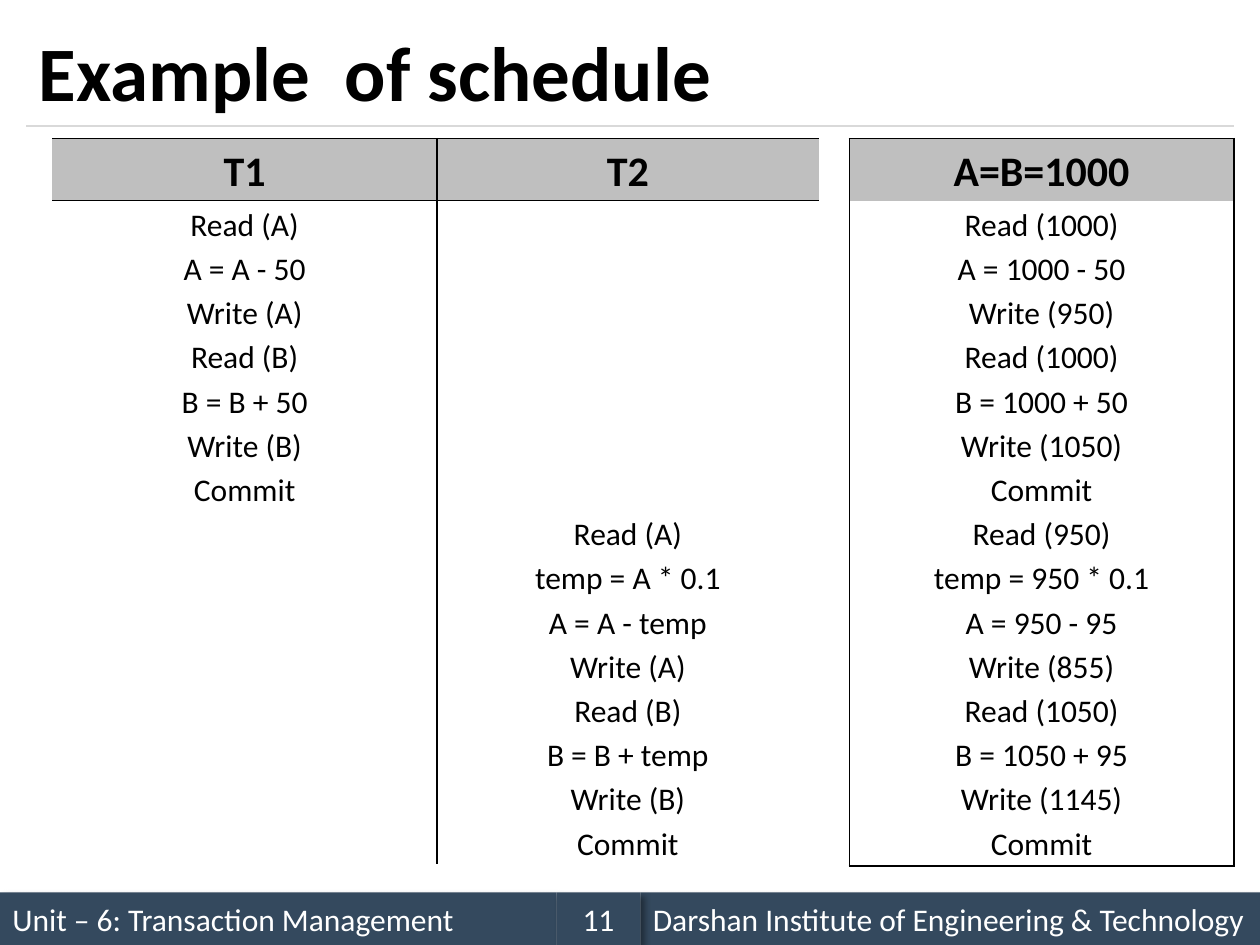
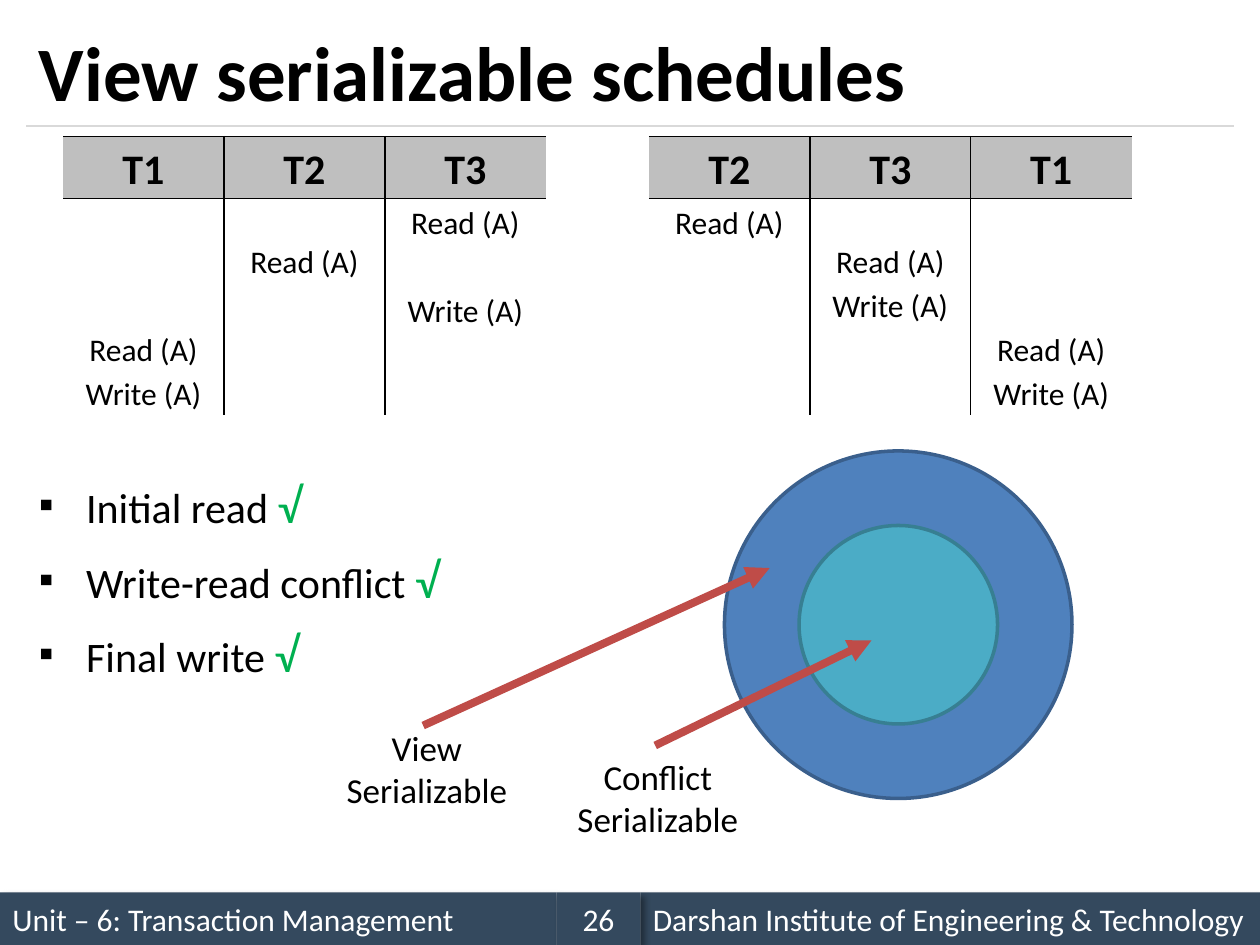
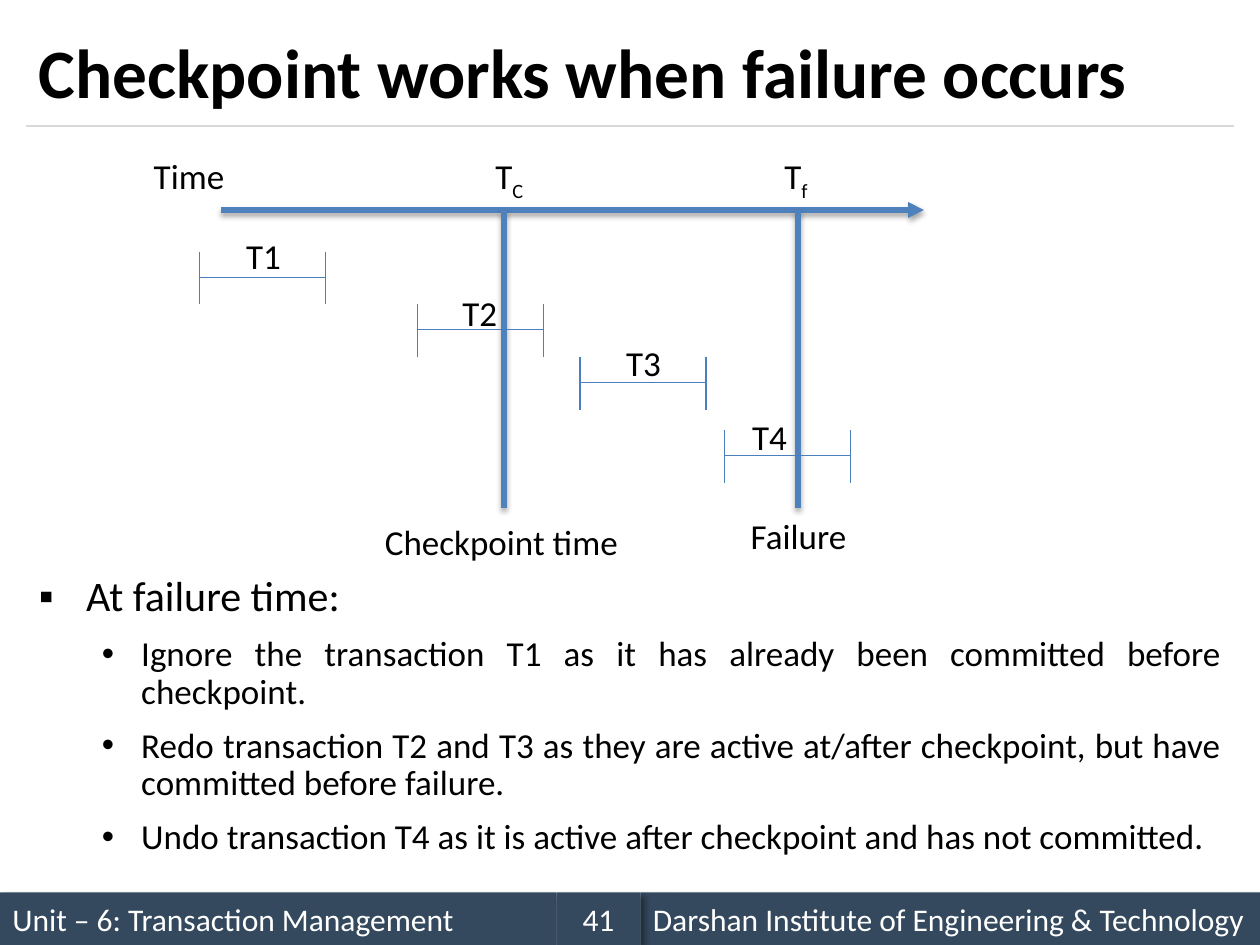
import pptx
import pptx.util
import pptx.dml.color
import pptx.enum.shapes
import pptx.enum.text
import pptx.oxml.ns
from lxml import etree

RGB = pptx.dml.color.RGBColor
Pt = pptx.util.Pt
qn = pptx.oxml.ns.qn
SHAPE = pptx.enum.shapes.MSO_SHAPE
ALIGN = pptx.enum.text.PP_ALIGN
ANCHOR = pptx.enum.text.MSO_ANCHOR
NO_FIT = pptx.enum.text.MSO_AUTO_SIZE.NONE

BLACK = RGB(0x00, 0x00, 0x00)
WHITE = RGB(0xFF, 0xFF, 0xFF)
NAVY = RGB(0x34, 0x49, 0x5E)
RULE = RGB(0xD9, 0xD9, 0xD9)
HEAD = RGB(0xBF, 0xBF, 0xBF)
GREEN = RGB(0x00, 0xB0, 0x50)
RED = RGB(0xBF, 0x4C, 0x48)
BLUE = RGB(0x4F, 0x81, 0xBD)
BLUE_EDGE = RGB(0x3A, 0x5F, 0x8C)
TEAL = RGB(0x4B, 0xAC, 0xC6)
TEAL_EDGE = RGB(0x37, 0x7F, 0x92)
THIN_BLUE = RGB(0x4B, 0x7E, 0xBC)
FONT = "Calibri"

prs = pptx.Presentation()
prs.slide_width = pptx.util.Inches(10)
prs.slide_height = pptx.util.Inches(7.5)
COLS = 120
UNIT = prs.slide_width / COLS


def grid(*cells):
    return [round(c * UNIT) for c in cells]


def line(s, ends, color, width, arrow=False):
    cx = s.shapes.add_connector(pptx.enum.shapes.MSO_CONNECTOR.STRAIGHT, *grid(*ends))
    cx.line.color.rgb = color
    cx.line.width = Pt(width)
    if arrow:
        etree.SubElement(cx.line._get_or_add_ln(), qn("a:tailEnd"), type="triangle")
    etree.SubElement(cx._element.spPr, qn("a:effectLst"))
    return cx


shadowed = []
labels = []
slides = []

for title, size, number, layout in [
    ("Example  of schedule", 44, "11", 5),
    ("View serializable schedules", 44, "26", 1),
    ("Checkpoint works when failure occurs", 39.6, "41", 1),
]:
    s = prs.slides.add_slide(prs.slide_layouts[layout])
    slides.append(s)
    line(s, (2.5, 12, 117.5, 12), RULE, 0.75)
    for left, width, text, align in [
        (0, 53, "Unit – 6: Transaction Management", ALIGN.LEFT),
        (61, 59, "Darshan Institute of Engineering & Technology", ALIGN.LEFT),
        (53, 8, number, ALIGN.CENTER),
    ]:
        band = s.shapes.add_shape(SHAPE.RECTANGLE, *grid(left, 85, width, 5))
        band.fill.solid()
        band.fill.fore_color.rgb = NAVY
        band.line.fill.background()
        band.shadow.inherit = False
        shadowed.append((band, 40, 4, 3, 45))
        band.text_frame.vertical_anchor = ANCHOR.MIDDLE
        p = band.text_frame.paragraphs[0]
        p.alignment = align
        r = p.add_run()
        r.text = text
        r.font.name, r.font.size, r.font.color.rgb = FONT, Pt(18), WHITE
    ph = s.shapes.title
    ph.left, ph.top, ph.width, ph.height = grid(2.5, 1.5, 115, 10.5)
    tf = ph.text_frame
    tf.auto_size = NO_FIT
    tf.vertical_anchor = ANCHOR.MIDDLE
    p = tf.paragraphs[0]
    p.alignment = ALIGN.LEFT
    r = p.add_run()
    r.text = title
    r.font.name, r.font.size, r.font.bold, r.font.color.rgb = FONT, Pt(size), True, BLACK

example, view, checkpoint = slides

STEP = 4.2
BLANK = 3.7
transfer = ["Read (A)", "A = A - 50", "Write (A)", "Read (B)", "B = B + 50", "Write (B)", "Commit"]
interest = ["Read (A)", "temp = A * 0.1", "A = A - temp", "Write (A)",
            "Read (B)", "B = B + temp", "Write (B)", "Commit"]
transfer_values = ["Read (1000)", "A = 1000 - 50", "Write (950)", "Read (1000)",
                   "B = 1000 + 50", "Write (1050)", "Commit"]
interest_values = ["Read (950)", "temp = 950 * 0.1", "A = 950 - 95", "Write (855)",
                   "Read (1050)", "B = 1050 + 95", "Write (1145)", "Commit"]
both = ["Read (A)", "Write (A)"]
after_three = BLANK + 2 * STEP

tables = [
    (example, 5, 13.2, [36.6, 36.4], [5.9, 29, 33], False,
     [[(["T1"], 0, 0), (["T2"], 0, 0)],
      [(transfer, 0, 0), ([], 0, 0)],
      [([], 0, 0), (interest, 0, 0)]]),
    (example, 80.9, 13.2, [36.6], [5.9, 29, 33.9], True,
     [[(["A=B=1000"], 0, 0)], [(transfer_values, 0, 0)], [(interest_values, 0, 0)]]),
    (view, 6, 13, [15.33] * 3, [5.9, 20.6], False,
     [[(["T1"], 0, 0), (["T2"], 0, 0), (["T3"], 0, 0)],
      [(both, after_three, 0), (["Read (A)"], BLANK, 0), (both, 0, STEP)]]),
    (view, 61.8, 13, [15.33] * 3, [5.9, 20.6], False,
     [[(["T2"], 0, 0), (["T3"], 0, 0), (["T1"], 0, 0)],
      [(["Read (A)"], 0, 0), (both, BLANK, 0), (both, after_three, 0)]]),
]

for s, left, top, widths, heights, boxed, rows in tables:
    frame = s.shapes.add_table(len(heights), len(widths),
                               *grid(left, top, sum(widths), sum(heights)))
    table = frame.table
    table.first_row = table.horz_banding = False
    for column, width in zip(table.columns, grid(*widths)):
        column.width = width
    for row, height in zip(table.rows, grid(*heights)):
        row.height = height
    for i, row in enumerate(rows):
        for j, (lines, offset, gap) in enumerate(row):
            cell = table.cell(i, j)
            cell.margin_left, cell.margin_right = grid(0.8, 0.8)
            cell.margin_top, cell.margin_bottom = grid(offset, 0)
            borders = {
                "a:lnL": boxed or j > 0,
                "a:lnR": boxed or j < len(widths) - 1,
                "a:lnT": i == 0 or (i == 1 and not boxed),
                "a:lnB": i == len(heights) - 1 if boxed else i == 0,
            }
            for tag, shown in borders.items():
                ln = etree.SubElement(cell._tc.get_or_add_tcPr(), qn(tag), w=str(Pt(1)))
                if shown:
                    fill = etree.SubElement(ln, qn("a:solidFill"))
                    etree.SubElement(fill, qn("a:srgbClr"), val=str(BLACK))
                else:
                    etree.SubElement(ln, qn("a:noFill"))
            if i == 0:
                cell.fill.solid()
                cell.fill.fore_color.rgb = HEAD
            else:
                cell.fill.background()
            tf = cell.text_frame
            for n, text in enumerate(lines):
                p = tf.add_paragraph() if n else tf.paragraphs[0]
                p.alignment = ALIGN.CENTER
                p.line_spacing = 1.15
                if n and gap:
                    p.space_before = grid(gap)[0]
                r = p.add_run()
                r.text = text
                r.font.name, r.font.size = FONT, Pt(18 if i else 24)
                r.font.bold, r.font.color.rgb = i == 0, BLACK

bullets = [("▪", 4.5, -4.5, 24, ALIGN.LEFT), ("•", 9.75, -3.75, 20, ALIGN.JUSTIFY)]
lists = [
    (view, 44.6, 30, 1, [(0, "Initial read ", "√"), (0, "Write-read conflict ", "√"),
                         (0, "Final write ", "√")]),
    (checkpoint, 54.2, 28.7, 0.9, [
        (0, "At failure time:", ""),
        (1, "Ignore the transaction T1 as it has already been committed before checkpoint.", ""),
        (1, "Redo transaction T2 and T3 as they are active at/after checkpoint, "
            "but have committed before failure.", ""),
        (1, "Undo transaction T4 as it is active after checkpoint and has not committed.", ""),
    ]),
]

for s, top, height, spacing, items in lists:
    ph = s.placeholders[1]
    ph.left, ph.top, ph.width, ph.height = grid(2.5, top, 115, height)
    tf = ph.text_frame
    tf.auto_size = NO_FIT
    for n, (level, text, tick) in enumerate(items):
        char, margin, indent, size, align = bullets[level]
        p = tf.add_paragraph() if n else tf.paragraphs[0]
        p.level = level
        p.alignment = align
        p.line_spacing = spacing
        p.space_before = Pt(9 if n else 0)
        pPr = p._p.get_or_add_pPr()
        pPr.set("marL", str(grid(margin)[0]))
        pPr.set("indent", str(grid(indent)[0]))
        etree.SubElement(pPr, qn("a:buFont"), typeface="Arial")
        etree.SubElement(pPr, qn("a:buChar"), char=char)
        for part, part_size, color in [(text, size, BLACK), (tick, 28, GREEN)]:
            if part:
                r = p.add_run()
                r.text = part
                r.font.name, r.font.size, r.font.color.rgb = FONT, Pt(part_size), color

center_x, center_y = 85.55, 59.5
for size, color, edge in [(33.1, BLUE, BLUE_EDGE), (18.9, TEAL, TEAL_EDGE)]:
    circle = view.shapes.add_shape(
        SHAPE.OVAL, *grid(center_x - size / 2, center_y - size / 2, size, size))
    circle.fill.solid()
    circle.fill.fore_color.rgb = color
    circle.line.color.rgb = edge
    circle.line.width = Pt(2)
    circle.shadow.inherit = False
line(view, (62.4, 71, 83, 61), RED, 4.5, True)
line(view, (40.3, 69.1, 73.3, 54.1), RED, 4.5, True)
labels += [
    (view, 53, 71.4, 19.3, ["Conflict", "Serializable"], ""),
    (view, 31, 68.6, 19.3, ["View", "Serializable"], ""),
]

axis_y, mark_end = 20, 48.4
axis = line(checkpoint, (21, axis_y, 88, axis_y), BLUE, 3, True)
marks = [line(checkpoint, (x, axis_y, x, mark_end), BLUE, 3) for x in (48, 76)]
shadowed += [(cx, 35, 3.1, 1.8, 90) for cx in [axis] + marks]

for name, x, y, label_x, label_y in [
    ("T1", 19, 24, 22, 21.7),
    ("T2", 39.75, 29, 42.6, 27.2),
    ("T3", 55.25, 34, 58.2, 31.9),
    ("T4", 69, 41, 70.2, 39),
]:
    line(checkpoint, (x, y + 2.4, x + 12, y + 2.4), THIN_BLUE, 0.75)
    for end in (x, x + 12):
        line(checkpoint, (end, y, end, y + 5), THIN_BLUE, 0.75)
    labels.append((checkpoint, label_x, label_y, 6.2, [name], ""))

labels += [
    (checkpoint, 13, 14.1, 10, ["Time"], ""),
    (checkpoint, 44, 14.1, 9, ["T"], "C"),
    (checkpoint, 71.3, 14.1, 9, ["T"], "f"),
    (checkpoint, 35.1, 49, 25.3, ["Checkpoint time"], ""),
    (checkpoint, 69.8, 48.4, 12.5, ["Failure"], ""),
]

for s, left, top, width, lines, subscript in labels:
    tf = s.shapes.add_textbox(*grid(left, top, width, 1.2 + 4 * len(lines))).text_frame
    tf.word_wrap = True
    for n, text in enumerate(lines):
        p = tf.add_paragraph() if n else tf.paragraphs[0]
        p.alignment = ALIGN.CENTER
        for part in filter(None, (text, subscript)):
            r = p.add_run()
            r.text = part
            r.font.name, r.font.size, r.font.color.rgb = FONT, Pt(20), BLACK
            if part == subscript:
                r.font._element.set("baseline", "-25000")

for sp, alpha, blur, distance, angle in shadowed:
    effects = sp._element.spPr.find(qn("a:effectLst"))
    shadow = etree.SubElement(effects, qn("a:outerShdw"), blurRad=str(Pt(blur)),
                              dist=str(Pt(distance)), dir=str(angle * 60000),
                              rotWithShape="0")
    tint = etree.SubElement(shadow, qn("a:srgbClr"), val=str(BLACK))
    etree.SubElement(tint, qn("a:alpha"), val=str(alpha * 1000))

prs.save("out.pptx")
